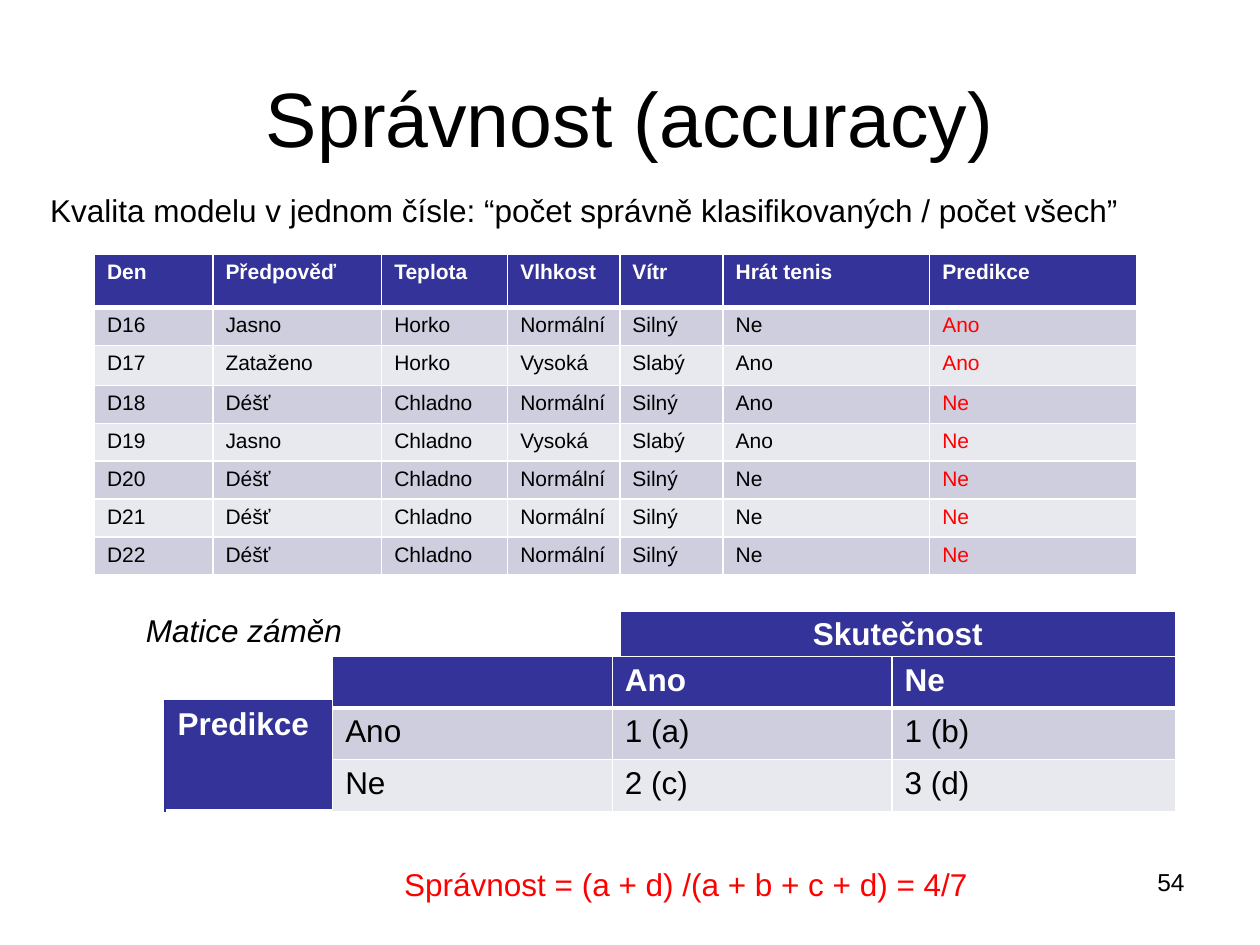
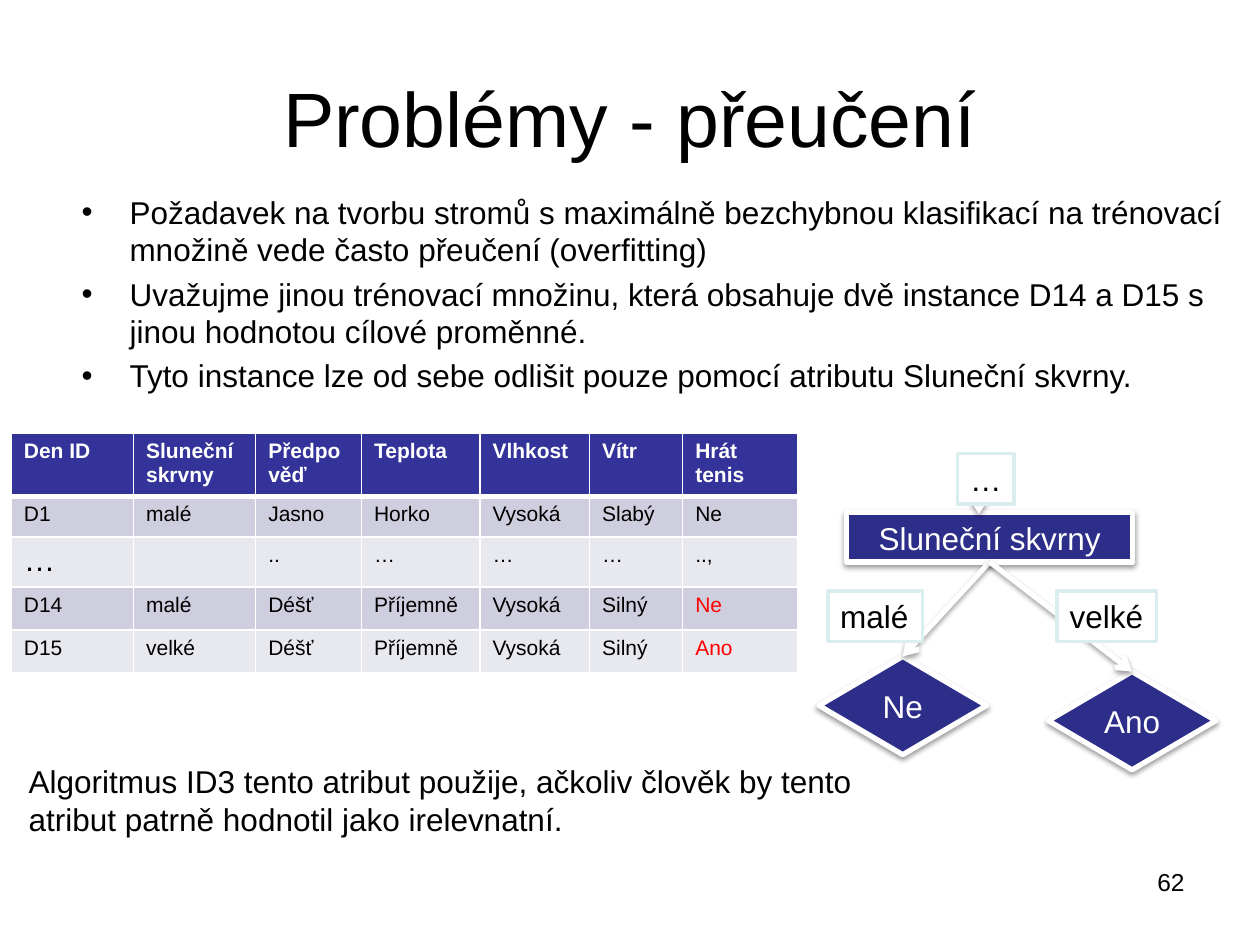
from lxml import etree
from pptx import Presentation
from pptx.dml.color import RGBColor
from pptx.enum.shapes import MSO_CONNECTOR, MSO_SHAPE
from pptx.enum.text import MSO_ANCHOR, PP_ALIGN
from pptx.oxml.ns import qn
from pptx.util import Inches, Pt

LEFT, CENTER, RIGHT = PP_ALIGN.LEFT, PP_ALIGN.CENTER, PP_ALIGN.RIGHT
TOP, MIDDLE = MSO_ANCHOR.TOP, MSO_ANCHOR.MIDDLE
RECTANGLE, DIAMOND = MSO_SHAPE.RECTANGLE, MSO_SHAPE.DIAMOND
STRAIGHT = MSO_CONNECTOR.STRAIGHT
SIDE_TOP, SIDE_BOTTOM = 0, 2

FONT = "Arial"
BLACK, WHITE, RED = "000000", "FFFFFF", "FF0000"
HEADER_FILL, HEADER_EDGE = "333399", "2F2F98"
BAND_FILLS = ("CECEDE", "E8E8EF")
NODE_FILL, LABEL_EDGE = "2D2D8A", "DAEDEF"

# Cell borders: left, right, top, bottom as (colour, points)
BODY_BORDERS = [(WHITE, 1)] * 4
HEADER_BORDERS = [(WHITE, 1)] * 3 + [(WHITE, 3)]
PREDICTION_BORDERS = [(HEADER_EDGE, 0.75)] * 3 + [(WHITE, 2)]


def rgb(colour):
    return RGBColor.from_string(colour)


def box(left, top, width, height):
    return [Inches(length) for length in (left, top, width, height)]


def style(paragraph, size=18, colour=BLACK, bold=False, italic=False, align=LEFT):
    paragraph.alignment = align
    font = paragraph.font
    font.name, font.size, font.bold, font.italic = FONT, Pt(size), bold, italic
    font.color.rgb = rgb(colour)


def add_solid_fill(parent, colour):
    fill = etree.SubElement(parent, qn("a:solidFill"))
    return etree.SubElement(fill, qn("a:srgbClr"), val=colour)


# Slide frame: title and page number
def add_slide(prs, title, number):
    slide = prs.slides.add_slide(prs.slide_layouts[5])
    heading = slide.shapes.title
    heading.left, heading.top, heading.width, heading.height = box(0.5, 0.3, 9, 1.25)
    heading.text_frame.text = title
    heading.text_frame.vertical_anchor = MIDDLE
    style(heading.text_frame.paragraphs[0], size=44, align=CENTER)
    add_text(slide, (7.17, 6.83, 2.33, 0.52), number, size=14, align=RIGHT)
    return slide


def add_text(slide, place, text, wrap=True, **look):
    frame = slide.shapes.add_textbox(*box(*place)).text_frame
    frame.word_wrap = wrap
    frame.text = text
    style(frame.paragraphs[0], **look)


def add_bullets(slide, place, items):
    frame = slide.shapes.add_textbox(*box(*place)).text_frame
    frame.word_wrap = True
    for index, item in enumerate(items):
        paragraph = frame.add_paragraph() if index else frame.paragraphs[0]
        paragraph.text = item
        if index:
            paragraph.space_before = Pt(3.6)
        properties = paragraph._p.get_or_add_pPr()
        properties.set("marL", str(Inches(0.38)))
        properties.set("indent", str(-Inches(0.38)))
        etree.SubElement(properties, qn("a:buFont"), typeface=FONT)
        etree.SubElement(properties, qn("a:buChar"), char="•")
        style(paragraph)


# Tables: one header row, then banded rows
def set_borders(cell, borders):
    properties = cell._tc.get_or_add_tcPr()
    for side, (colour, points) in zip("LRTB", borders):
        line = etree.SubElement(properties, qn(f"a:ln{side}"), w=str(Pt(points)))
        add_solid_fill(line, colour)


def add_grid(slide, left, top, widths, heights, rows, size=18, align=LEFT,
             red_days=(), header_borders=HEADER_BORDERS):
    place = box(left, top, sum(widths), sum(heights))
    table = slide.shapes.add_table(len(rows), len(widths), *place).table
    for column, width in zip(table.columns, widths):
        column.width = Inches(width)
    for r, (row, height) in enumerate(zip(rows, heights)):
        table.rows[r].height = Inches(height)
        for c, text in enumerate(row):
            cell = table.cell(r, c)
            header = r == 0
            set_borders(cell, header_borders if header else BODY_BORDERS)
            cell.fill.solid()
            cell.fill.fore_color.rgb = rgb(HEADER_FILL if header else BAND_FILLS[(r - 1) % 2])
            cell.text = text
            red = row[0] in red_days and c == len(row) - 1
            colour = WHITE if header else RED if red else BLACK
            text_size = 18 if text == "…" and c == 0 else size
            style(cell.text_frame.paragraphs[0], text_size, colour, bold=header, align=align)


# Decision tree: nodes, branches and branch labels
def add_shadow(shape):
    effects = etree.SubElement(shape._element.spPr, qn("a:effectLst"))
    shadow = etree.SubElement(effects, qn("a:outerShdw"), blurRad=str(Pt(3.1)),
                              dist=str(Pt(1.6)), dir="5400000", rotWithShape="0")
    black = etree.SubElement(shadow, qn("a:srgbClr"), val=BLACK)
    etree.SubElement(black, qn("a:alpha"), val="38000")


def add_box(slide, kind, place, text, fill, edge, points):
    shape = slide.shapes.add_shape(kind, *box(*place))
    shape.fill.solid()
    shape.fill.fore_color.rgb = rgb(fill)
    shape.line.color.rgb = rgb(edge)
    shape.line.width = Pt(points)
    shape.text_frame.text = text
    return shape


def add_node(slide, kind, place, text):
    node = add_box(slide, kind, place, text, NODE_FILL, WHITE, 3)
    add_shadow(node)
    node.text_frame.vertical_anchor = MIDDLE
    style(node.text_frame.paragraphs[0], colour=WHITE, align=CENTER)
    return node


def add_label(slide, place, text):
    label = add_box(slide, RECTANGLE, place, text, WHITE, LABEL_EDGE, 2)
    label.shadow.inherit = False
    label.text_frame.word_wrap = False
    label.text_frame.vertical_anchor = TOP
    style(label.text_frame.paragraphs[0])


def add_branch(slide, start=(0, 0), end=(0, 0)):
    branch = slide.shapes.add_connector(STRAIGHT, *box(*start, *end))
    branch.line.color.rgb = rgb(WHITE)
    branch.line.width = Pt(3)
    etree.SubElement(branch.line._get_or_add_ln(), qn("a:tailEnd"), type="arrow")
    add_shadow(branch)
    return branch


def join(slide, parent, child):
    branch = add_branch(slide)
    branch.begin_connect(parent, SIDE_BOTTOM)
    branch.end_connect(child, SIDE_TOP)


def build_accuracy(prs):
    slide = add_slide(prs, "Správnost (accuracy)", "54")
    add_text(slide, (0.3, 1.47, 9.5, 0.4),
             "Kvalita modelu v jednom čísle: “počet správně klasifikovaných / počet všech”")

    # Test days with predictions
    days = [
        ["Den", "Předpověď", "Teplota", "Vlhkost", "Vítr", "Hrát tenis", "Predikce"],
        ["D16", "Jasno", "Horko", "Normální", "Silný", "Ne", "Ano"],
        ["D17", "Zataženo", "Horko", "Vysoká", "Slabý", "Ano", "Ano"],
        ["D18", "Déšť", "Chladno", "Normální", "Silný", "Ano", "Ne"],
        ["D19", "Jasno", "Chladno", "Vysoká", "Slabý", "Ano", "Ne"],
        ["D20", "Déšť", "Chladno", "Normální", "Silný", "Ne", "Ne"],
        ["D21", "Déšť", "Chladno", "Normální", "Silný", "Ne", "Ne"],
        ["D22", "Déšť", "Chladno", "Normální", "Silný", "Ne", "Ne"],
    ]
    add_grid(slide, 0.75, 2.02, [0.94, 1.34, 1, 0.89, 0.82, 1.64, 1.64],
             [0.42, 0.3, 0.32] + [0.3] * 5, days, size=12,
             red_days=[day[0] for day in days[1:]])

    # Confusion matrix
    add_text(slide, (1.06, 4.8, 3.8, 0.4), "Matice záměn", italic=True)
    add_grid(slide, 4.92, 4.85, [4.41], [0.36], [["Skutečnost"]], align=CENTER)
    add_grid(slide, 1.31, 5.56, [1.33], [0.87], [["Predikce"]],
             header_borders=PREDICTION_BORDERS)
    add_grid(slide, 2.64, 5.21, [2.22, 2.22, 2.25], [0.41] * 3,
             [["", "Ano", "Ne"], ["Ano", "1 (a)", "1 (b)"], ["Ne", "2 (c)", "3 (d)"]])
    add_text(slide, (3.11, 6.82, 4.72, 0.4),
             "Správnost = (a + d) /(a + b + c + d) = 4/7", wrap=False, colour=RED)


def build_overfitting(prs):
    slide = add_slide(prs, "Problémy - přeučení", "62")
    add_bullets(slide, (0.55, 1.48, 9.45, 1.8), [
        "Požadavek na tvorbu stromů s maximálně bezchybnou klasifikací na trénovací "
        "množině vede často přeučení (overfitting)",
        "Uvažujme jinou trénovací množinu, která obsahuje dvě instance D14 a D15 s "
        "jinou hodnotou cílové proměnné.",
        "Tyto instance lze od sebe odlišit pouze pomocí atributu Sluneční skvrny.",
    ])

    # Training days
    add_grid(slide, 0.09, 3.44, [0.97, 0.97, 0.84, 0.94, 0.87, 0.74, 0.91],
             [0.46, 0.32, 0.38, 0.34, 0.34], [
                 ["Den ID", "Sluneční skrvny", "Předpověď", "Teplota", "Vlhkost", "Vítr",
                  "Hrát tenis"],
                 ["D1", "malé", "Jasno", "Horko", "Vysoká", "Slabý", "Ne"],
                 ["…", "", "..", "…", "…", "…", "..,"],
                 ["D14", "malé", "Déšť", "Příjemně", "Vysoká", "Silný", "Ne"],
                 ["D15", "velké", "Déšť", "Příjemně", "Vysoká", "Silný", "Ano"],
             ], size=12, red_days=("D14", "D15"))

    # Tree that splits on sunspots
    sunspots = add_node(slide, RECTANGLE, (6.72, 4.07, 2.27, 0.39), "Sluneční skvrny")
    for left, top, answer in ((6.5, 5.21, "Ne"), (8.32, 5.33, "Ano")):
        join(slide, sunspots, add_node(slide, DIAMOND, (left, top, 1.33, 0.78), answer))
    add_branch(slide, (7.77, 3.92), (7.77, 4.08))
    for left, top, width, value in ((6.57, 4.69, 0.75, "malé"), (8.39, 4.69, 0.79, "velké"),
                                    (7.6, 3.6, 0.45, "…")):
        add_label(slide, (left, top, width, 0.4), value)

    add_text(slide, (0.13, 6, 6.73, 0.71),
             "Algoritmus ID3 tento atribut použije, ačkoliv člověk by tento atribut "
             "patrně hodnotil jako irelevnatní.")


def main():
    prs = Presentation()
    prs.slide_width, prs.slide_height = Inches(10), Inches(7.5)
    build_accuracy(prs)
    build_overfitting(prs)
    prs.save("out.pptx")


if __name__ == "__main__":
    main()
